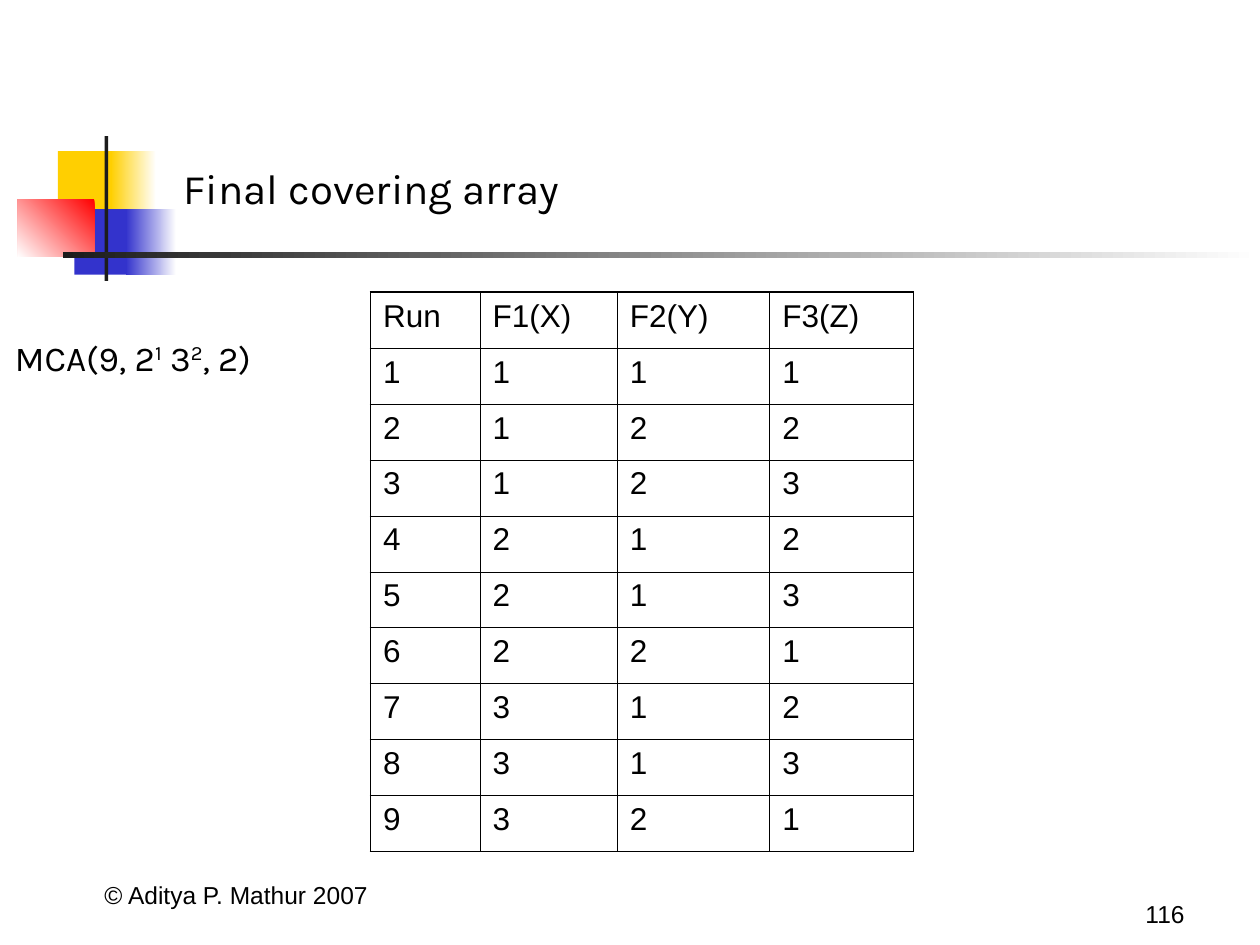
from lxml import etree
from pptx import Presentation, util as u
from pptx.dml.color import RGBColor
from pptx.enum import shapes, text
from pptx.oxml.ns import qn

BLACK, WHITE, CHARCOAL = "000000", "FFFFFF", "1C1C1C"
YELLOW, BLUE, RED = "FFCF01", "3333CC", "FF0000"


def color(hex_code):
    return RGBColor.from_string(hex_code)


class SlideBuilder:
    heading_font, body_font = "Karla", "Arial"
    outer_line, inner_line = 1.08, 0.45

    def __init__(self, slide):
        self.slide = slide

    def format_runs(self, paragraph, font, size):
        for run in paragraph.runs:
            run.font.name = font
            run.font.size = u.Pt(size)
            run.font.color.rgb = color(BLACK)

    def title(self, wording, box):
        heading = self.slide.shapes.title
        heading.left, heading.top, heading.width, heading.height = map(u.Inches, box)
        frame = heading.text_frame
        frame.text = wording
        frame.vertical_anchor = text.MSO_ANCHOR.BOTTOM
        frame.paragraphs[0].alignment = text.PP_ALIGN.LEFT
        self.format_runs(frame.paragraphs[0], self.heading_font, 24)

    def block(self, box, start, end=None, angle=0):
        """Rectangle in one colour, or fading from start to end."""
        rect = self.slide.shapes.add_shape(
            shapes.MSO_SHAPE.RECTANGLE, *map(u.Inches, box))
        rect.shadow.inherit = False
        rect.line.fill.background()
        if end is None:
            rect.fill.solid()
            rect.fill.fore_color.rgb = color(start)
            return
        rect.fill.gradient()
        rect.fill.gradient_angle = angle
        for stop, shade in zip(rect.fill.gradient_stops, (start, end)):
            stop.color.rgb = color(shade)

    def text_box(self, box):
        frame = self.slide.shapes.add_textbox(*map(u.Inches, box)).text_frame
        return frame, frame.paragraphs[0]

    def formula(self, parts, box):
        """Parts alternate between normal text and superscript."""
        frame, line = self.text_box(box)
        frame.word_wrap = False
        for i, part in enumerate(parts):
            run = line.add_run()
            run.text = part
            if i % 2:
                run._r.get_or_add_rPr().set("baseline", "30000")
        self.format_runs(line, self.heading_font, 20)

    def footer(self, wording, box, align):
        frame, line = self.text_box(box)
        frame.word_wrap = True
        frame.vertical_anchor = text.MSO_ANCHOR.BOTTOM
        line.text = wording
        line.alignment = align
        self.format_runs(line, self.body_font, 14)

    def borders(self, cell, outer_sides):
        props = cell._tc.get_or_add_tcPr()
        for i, side in enumerate("LRTB"):
            width = self.outer_line if side in outer_sides else self.inner_line
            edge = etree.Element(qn(f"a:ln{side}"), w=str(int(u.Pt(width))))
            fill = etree.SubElement(edge, qn("a:solidFill"))
            etree.SubElement(fill, qn("a:srgbClr"), val=BLACK)
            props.insert(i, edge)

    def table(self, rows, left, top, widths, height):
        last_row, last_col = len(rows) - 1, len(widths) - 1
        grid = self.slide.shapes.add_table(
            len(rows), len(widths), u.Inches(left), u.Inches(top),
            u.Inches(sum(widths)), u.Inches(height)).table
        grid.first_row = grid.horz_banding = False
        for column, width in zip(grid.columns, widths):
            column.width = u.Inches(width)
        for r, row in enumerate(rows):
            for c, value in enumerate(row):
                cell = grid.cell(r, c)
                cell.text_frame.text = str(value)
                cell.fill.background()
                self.format_runs(cell.text_frame.paragraphs[0], self.body_font, 18)
                at_edge = {"L": c == 0, "R": c == last_col,
                           "T": r == 0, "B": r == last_row}
                self.borders(cell, [side for side, outer in at_edge.items() if outer])


def main():
    deck = Presentation()
    deck.slide_width, deck.slide_height = u.Inches(10), u.Inches(7.5)
    page = SlideBuilder(deck.slides.add_slide(deck.slide_layouts[5]))

    # Corner ornament and rule under the title
    page.block((0.46, 1.2, 0.48, 0.52), YELLOW)
    page.block((0.88, 1.2, 0.36, 0.52), WHITE, YELLOW, 180)
    page.block((0.59, 1.66, 0.46, 0.52), BLUE)
    page.block((1, 1.66, 0.4, 0.52), WHITE, BLUE, 180)
    page.block((0.14, 1.58, 0.61, 0.46), RED, WHITE, 225)
    page.block((0.83, 1.08, 0.03, 1.15), CHARCOAL)
    page.block((0.5, 2, 9.5, 0.05), WHITE, CHARCOAL, 180)

    # Title and array notation
    page.title("Final covering array", (1.36, 0.99, 8.1, 0.75))
    page.formula(["MCA(9, 2", "1", " 3", "2", ", 2)"], (0.02, 2.62, 2.74, 0.44))

    # Covering array: one numbered run per row
    factor_levels = [(1, 1, 1), (1, 2, 2), (1, 2, 3),
                     (2, 1, 2), (2, 1, 3), (2, 2, 1),
                     (3, 1, 2), (3, 1, 3), (3, 2, 1)]
    runs = [(number, *levels) for number, levels in enumerate(factor_levels, 1)]
    page.table([("Run", "F1(X)", "F2(Y)", "F3(Z)")] + runs,
               2.94, 2.32, (0.87, 1.09, 1.21, 1.14), 4.44)

    # Copyright and page number
    page.footer("© Aditya P. Mathur 2007", (0.29, 6.77, 3.17, 0.5),
                text.PP_ALIGN.CENTER)
    page.footer("116", (7.42, 6.92, 2.08, 0.5), text.PP_ALIGN.RIGHT)

    deck.save("out.pptx")


if __name__ == "__main__":
    main()
